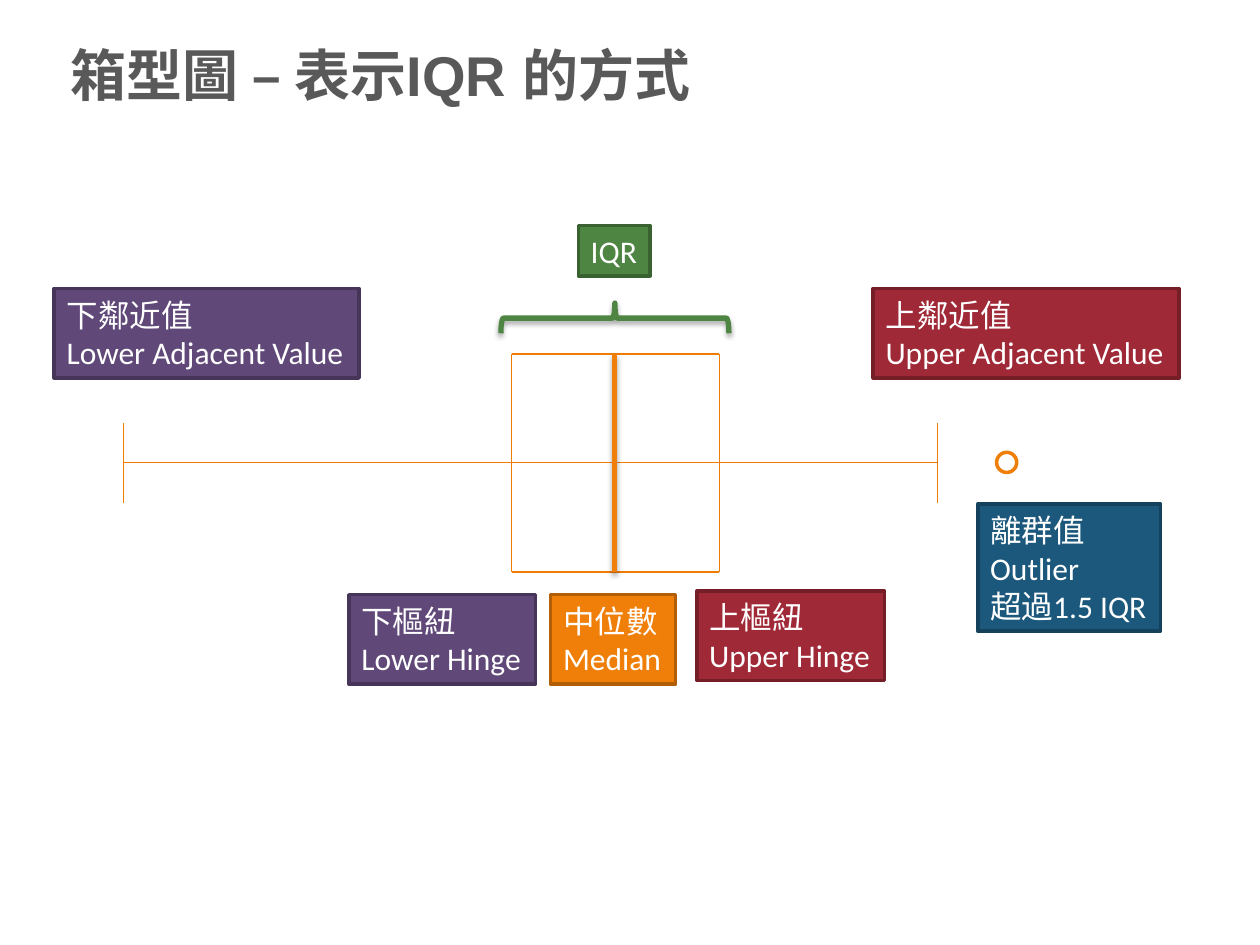
from dataclasses import dataclass

from lxml import etree
from pptx import Presentation
from pptx.dml.color import RGBColor
from pptx.enum.shapes import MSO_CONNECTOR, MSO_SHAPE
from pptx.enum.text import MSO_ANCHOR, MSO_AUTO_SIZE, PP_ALIGN
from pptx.oxml.ns import qn
from pptx.util import Inches, Pt

STRAIGHT = MSO_CONNECTOR.STRAIGHT
RECT, OVAL, BRACE = MSO_SHAPE.RECTANGLE, MSO_SHAPE.OVAL, MSO_SHAPE.RIGHT_BRACE
MIDDLE, LEFT = MSO_ANCHOR.MIDDLE, PP_ALIGN.LEFT
NO_FIT = MSO_AUTO_SIZE.NONE


def rgb(code):
    return RGBColor.from_string(code)


@dataclass
class Theme:
    head: RGBColor = rgb("595959")
    white: RGBColor = rgb("FFFFFF")
    thin: RGBColor = rgb("F07C03")
    orange: tuple = (rgb("F07F09"), rgb("B25E07"))
    blue: tuple = (rgb("1B587C"), rgb("14415C"))
    green: tuple = (rgb("4E8542"), rgb("3A6231"))
    red: tuple = (rgb("9F2936"), rgb("761E28"))
    purple: tuple = (rgb("604878"), rgb("473559"))
    title: Pt = Pt(32)
    label: Pt = Pt(18)


theme = Theme()


def write(frame, text, size, color, font="Calibri", bold=False, wrap=False):
    frame.auto_size = NO_FIT
    frame.word_wrap = wrap
    frame.vertical_anchor = MIDDLE
    frame.text = text
    for para in frame.paragraphs:
        para.alignment = LEFT
        para.font.name = font
        para.font.size = size
        para.font.bold = bold
        para.font.color.rgb = color


deck = Presentation()
deck.slide_width, deck.slide_height = Inches(10), Inches(7.5)
slide = deck.slides.add_slide(deck.slide_layouts[5])
shapes = slide.shapes

title = shapes.title
title.left, title.top = Inches(0.46), Inches(0.28)
title.width, title.height = Inches(9), Inches(0.61)
write(title.text_frame, "箱型圖 – 表示IQR 的方式", size=theme.title,
      color=theme.head, font="Arial", bold=True, wrap=True)

low, lower, median, upper, high = 0.98, 4.06, 4.88, 5.71, 7.44
top, axis, base = 2.81, 3.67, 4.54
cap = (3.36, 3.99)
thin = (theme.thin, 0.75)
thick = (theme.orange[0], 3)
lines = [
    (low, cap[0], low, cap[1], thin),
    (low, axis, high, axis, thin),
    (high, cap[0], high, cap[1], thin),
    (lower, top, lower, base, thin),
    (upper, top, upper, base, thin),
    (lower, top, upper, top, thin),
    (lower, base, upper, base, thin),
    (median, top, median, base, thick),
]
for *ends, (color, width) in lines:
    line = shapes.add_connector(STRAIGHT, *map(Inches, ends))
    line.line.color.rgb = color
    line.line.width = Pt(width)
    etree.SubElement(line._element.spPr, qn("a:effectLst"))

dot = shapes.add_shape(OVAL, Inches(7.91), Inches(3.59), Inches(0.16), Inches(0.16))
dot.shadow.inherit = False
dot.fill.solid()
dot.fill.fore_color.rgb = theme.white
dot.line.color.rgb = theme.orange[0]
dot.line.width = Pt(2)

brace = shapes.add_shape(BRACE, Inches(4.76), Inches(1.62), Inches(0.24), Inches(1.81))
brace.rotation = 270
brace.shadow.inherit = False
brace.fill.background()
brace.line.color.rgb = theme.green[0]
brace.line.width = Pt(3)

for part in (line, brace):
    effects = part._element.spPr.find(qn("a:effectLst"))
    shade = etree.SubElement(effects, qn("a:outerShdw"), blurRad=str(Pt(3.1)),
                             dist=str(Pt(1.8)), dir="5400000", rotWithShape="0")
    black = etree.SubElement(shade, qn("a:srgbClr"), val="000000")
    etree.SubElement(black, qn("a:alpha"), val="35000")

labels = [
    ("離群值\nOutlier\n超過1.5 IQR", 7.76, 4, 1.45, 1.01, theme.blue),
    ("IQR", 4.59, 1.79, 0.57, 0.4, theme.green),
    ("中位數\nMedian", 4.37, 4.72, 0.99, 0.71, theme.orange),
    ("上樞紐\nUpper Hinge", 5.53, 4.69, 1.49, 0.71, theme.red),
    ("下樞紐\nLower Hinge", 2.77, 4.72, 1.48, 0.71, theme.purple),
    ("下鄰近值\nLower Adjacent Value", 0.43, 2.29, 2.42, 0.71, theme.purple),
    ("上鄰近值\nUpper Adjacent Value", 6.93, 2.29, 2.43, 0.71, theme.red),
]
for text, *place, (fill, edge) in labels:
    box = shapes.add_shape(RECT, *map(Inches, place))
    box.shadow.inherit = False
    box.fill.solid()
    box.fill.fore_color.rgb = fill
    box.line.color.rgb = edge
    box.line.width = Pt(2)
    write(box.text_frame, text, size=theme.label, color=theme.white)

deck.save("out.pptx")
